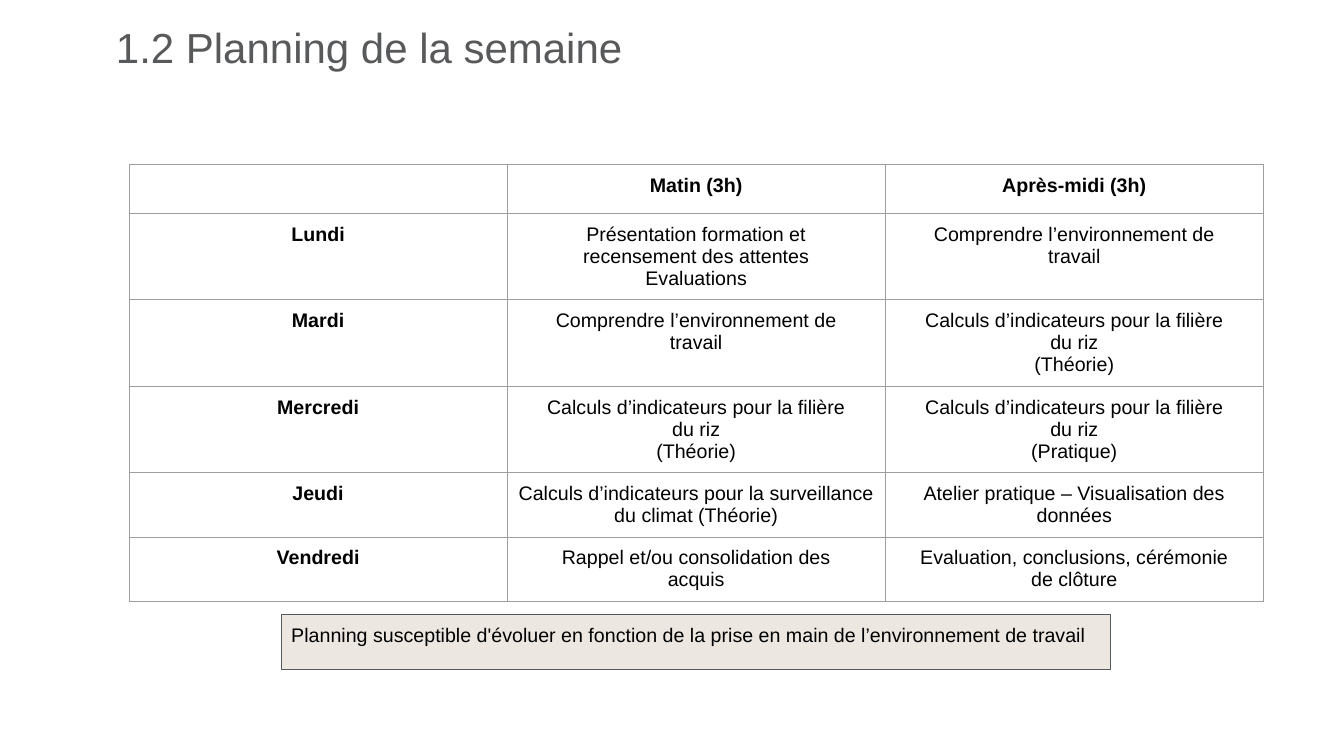
from lxml import etree
from pptx import Presentation
from pptx.dml.color import RGBColor
from pptx.enum.shapes import MSO_SHAPE
from pptx.enum.text import MSO_ANCHOR, PP_ALIGN
from pptx.oxml.ns import qn
from pptx.util import Inches, Pt

TITLE = "1.2 Planning de la semaine"
SCHEDULE = [
    ("", "Matin (3h)", "Après-midi (3h)"),
    ("Lundi", "Présentation formation et\nrecensement des attentes\nEvaluations",
     "Comprendre l’environnement de\ntravail"),
    ("Mardi", "Comprendre l’environnement de\ntravail",
     "Calculs d’indicateurs pour la filière\ndu riz\n(Théorie)"),
    ("Mercredi", "Calculs d’indicateurs pour la filière\ndu riz\n(Théorie)",
     "Calculs d’indicateurs pour la filière\ndu riz\n(Pratique)"),
    ("Jeudi", "Calculs d’indicateurs pour la surveillance du climat (Théorie)",
     "Atelier pratique – Visualisation des\ndonnées"),
    ("Vendredi", "Rappel et/ou consolidation des\nacquis",
     "Evaluation, conclusions, cérémonie\nde clôture"),
]
ROW_HEIGHTS = [0.49, 0.85, 0.85, 0.85, 0.64, 0.64]
COL_WIDTH = 3.75
NOTE = ("Planning susceptible d'évoluer en fonction de la prise en main "
        "de l’environnement de travail")

FONT = "Arial"
BLACK = RGBColor(0x00, 0x00, 0x00)
WHITE = RGBColor(0xFF, 0xFF, 0xFF)
GREY = RGBColor(0x58, 0x59, 0x5B)
BORDER = RGBColor(0x9E, 0x9E, 0x9E)
BEIGE = RGBColor(0xEC, 0xE8, 0xE1)
LEFT, CENTER = PP_ALIGN.LEFT, PP_ALIGN.CENTER
TOP, BOTTOM = MSO_ANCHOR.TOP, MSO_ANCHOR.BOTTOM
RECTANGLE = MSO_SHAPE.RECTANGLE


def format_text(tf, size, color, align, bold=False):
    for p in tf.paragraphs:
        p.alignment = align
        p.font.size = Pt(size)
        for r in p.runs:
            r.font.name = FONT
            r.font.size = Pt(size)
            r.font.bold = bold
            r.font.color.rgb = color


def add_borders(cell):
    tc_pr = cell._tc.get_or_add_tcPr()
    for side in ("lnL", "lnR", "lnT", "lnB"):
        ln = etree.SubElement(tc_pr, qn(f"a:{side}"), w=str(Pt(0.75)))
        fill = etree.SubElement(ln, qn("a:solidFill"))
        etree.SubElement(fill, qn("a:srgbClr"), val=str(BORDER))


prs = Presentation()
prs.slide_width, prs.slide_height = Inches(13.33), Inches(7.5)
s = prs.slides.add_slide(prs.slide_layouts[5])

# Title
title = s.shapes.title
title.left, title.top = Inches(1.15), Inches(0)
title.width, title.height = Inches(11.02), Inches(0.77)
tf = title.text_frame
tf.text = TITLE
tf.vertical_anchor = BOTTOM
tf.margin_left = tf.margin_right = 0
tf.paragraphs[0].line_spacing = 0.9
format_text(tf, 30, GREY, LEFT)

# Weekly schedule
n_cols = len(SCHEDULE[0])
table = s.shapes.add_table(
    len(SCHEDULE), n_cols, Inches(1.28), Inches(1.63),
    Inches(n_cols * COL_WIDTH), Inches(sum(ROW_HEIGHTS))).table
table.first_row = table.horz_banding = False
for col in table.columns:
    col.width = Inches(COL_WIDTH)
for i, (row, height) in enumerate(zip(SCHEDULE, ROW_HEIGHTS)):
    table.rows[i].height = Inches(height)
    for j, text in enumerate(row):
        cell = table.cell(i, j)
        cell.text = text
        cell.margin_left = cell.margin_right = Inches(0.1)
        cell.margin_top = cell.margin_bottom = Inches(0.1)
        add_borders(cell)
        cell.fill.solid()
        cell.fill.fore_color.rgb = WHITE
        format_text(cell.text_frame, 14, BLACK, CENTER, bold=i == 0 or j == 0)

# Note under the schedule
note = s.shapes.add_shape(RECTANGLE, Inches(2.79), Inches(6.1), Inches(8.22), Inches(0.54))
note.shadow.inherit = False
note.fill.solid()
note.fill.fore_color.rgb = BEIGE
note.line.color.rgb = GREY
note.line.width = Pt(0.75)
tf = note.text_frame
tf.text = NOTE
tf.word_wrap = True
tf.vertical_anchor = TOP
tf.margin_left = tf.margin_right = Inches(0.1)
tf.margin_top = Inches(0.08)
format_text(tf, 14, BLACK, LEFT)

prs.save("out.pptx")
